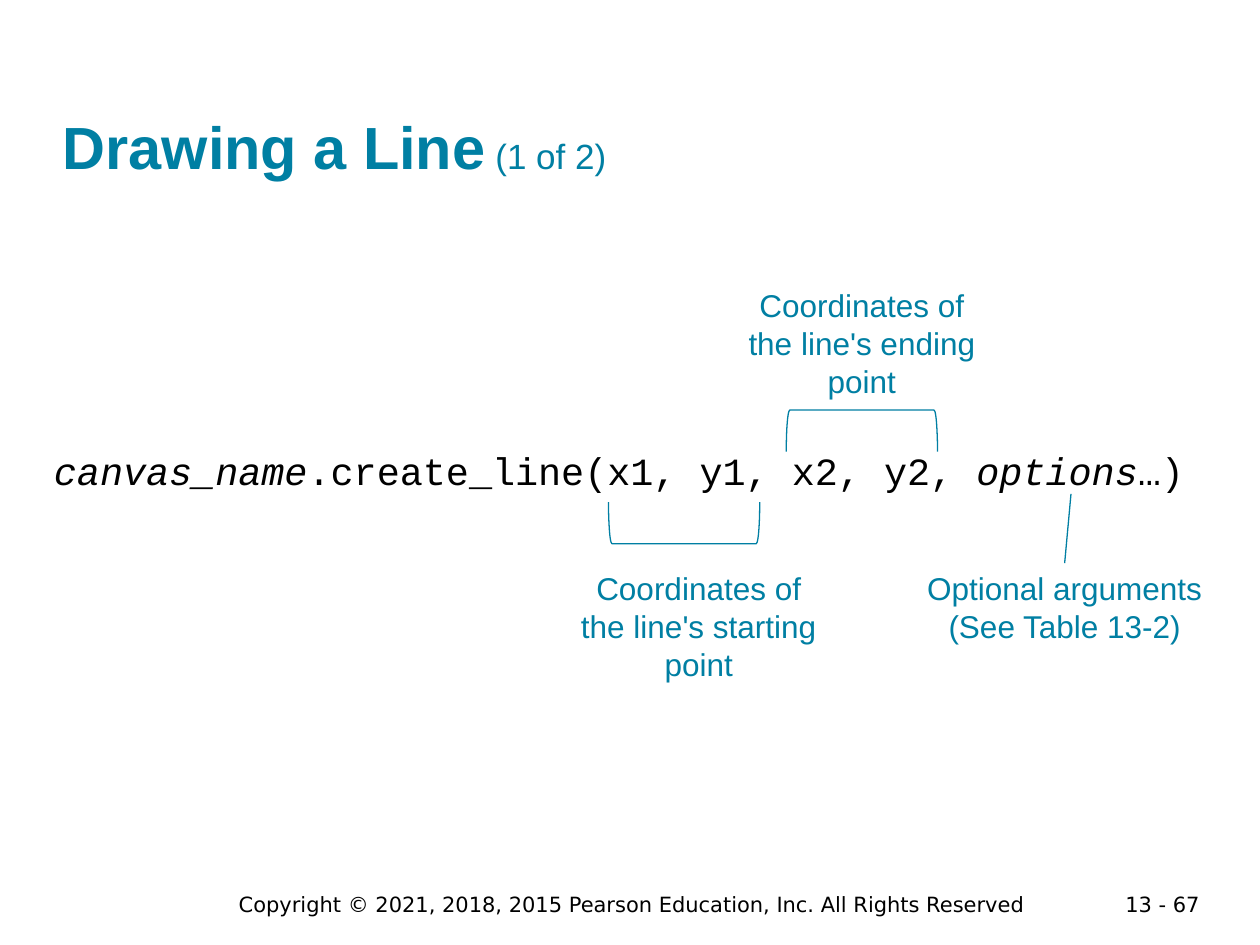
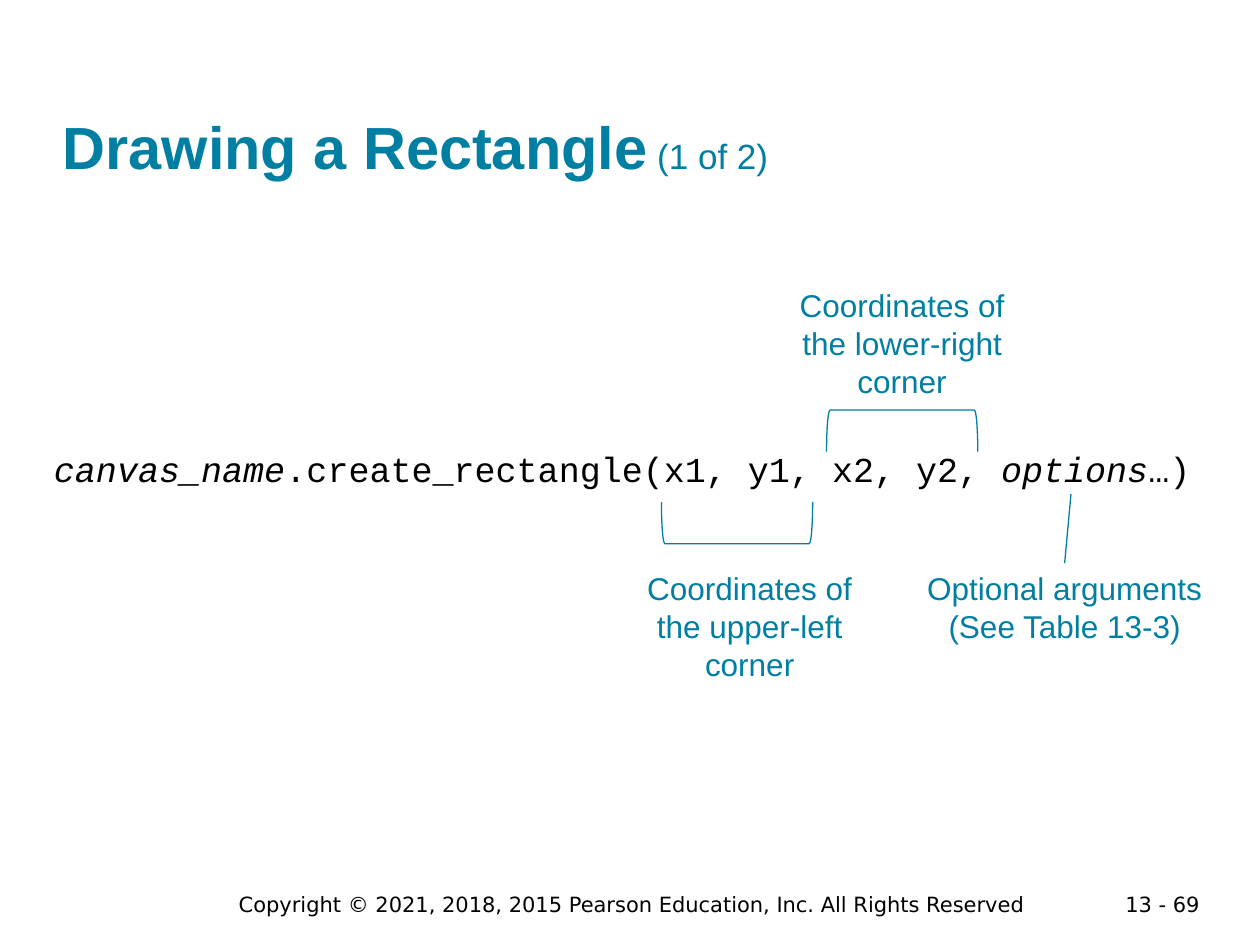
from lxml import etree
from pptx import Presentation
from pptx.dml.color import RGBColor
from pptx.enum.shapes import MSO_CONNECTOR, MSO_SHAPE
from pptx.enum.text import MSO_ANCHOR, PP_ALIGN
from pptx.oxml.ns import qn
from pptx.util import Inches, Pt

TEAL = RGBColor(0x00, 0x7F, 0xA3)
BLACK = RGBColor(0x00, 0x00, 0x00)
LEFT, CENTER, RIGHT = PP_ALIGN.LEFT, PP_ALIGN.CENTER, PP_ALIGN.RIGHT
BOTTOM = MSO_ANCHOR.BOTTOM
LEFT_BRACKET = MSO_SHAPE.LEFT_BRACKET
STRAIGHT = MSO_CONNECTOR.STRAIGHT

HEADING_FONT, CODE_FONT, FOOTER_FONT = "Arial", "Courier New", "DejaVu Sans"
COPYRIGHT = "Copyright © 2021, 2018, 2015 Pearson Education, Inc. All Rights Reserved"
BRACKET_DEPTH, BRACKET_SPAN = 0.33, 1.2
ABOVE_CODE, BELOW_CODE = 2.22, 4.47

SYNTAX_SLIDES = [
    {
        "title": "Drawing a Line", "page": "13 - 67",
        "method": "create_line", "code_size": 22, "code_height": 0.47,
        "start": (4.5, 2.09, ["Coordinates of", "the line's starting", "point"]),
        "start_bracket": 5.43,
        "end": (5.83, 2.02, ["Coordinates of", "the line's ending", "point"]),
        "end_bracket": 6.84,
        "table": "13-2",
    },
    {
        "title": "Drawing a Rectangle", "page": "13 - 69",
        "method": "create_rectangle", "code_size": 20, "code_height": 0.44,
        "start": (5.03, 1.84, ["Coordinates of", "the upper-left", "corner"]),
        "start_bracket": 5.85,
        "end": (6.24, 1.84, ["Coordinates of", "the lower-right", "corner"]),
        "end_bracket": 7.16,
        "table": "13-3",
    },
]


class SyntaxDeck:
    """Hold the deck style and the current slide, and draw its elements."""

    def __init__(self):
        self.presentation = Presentation()
        self.presentation.slide_width = Inches(10)
        self.presentation.slide_height = Inches(7.5)
        self.slide = None

    def add_slide(self, page):
        layout = self.presentation.slide_layouts[6]
        self.slide = self.presentation.slides.add_slide(layout)
        self.add_text((8.62, 7.03, 1, 0.22), [[(page, {})]], FOOTER_FONT, 12, BLACK, RIGHT)
        self.add_text((1.64, 7.03, 6.75, 0.3), [[(COPYRIGHT, {})]], FOOTER_FONT, 12, BLACK, CENTER)

    def add_text(self, box, lines, font_name, size, color, alignment=LEFT, wrap=True):
        shape = self.slide.shapes.add_textbox(*map(Inches, box))
        frame = shape.text_frame
        frame.word_wrap = wrap
        for index, line in enumerate(lines):
            paragraph = frame.add_paragraph() if index else frame.paragraphs[0]
            paragraph.alignment = alignment
            for text, changes in line:
                run = paragraph.add_run()
                run.text = text
                run.font.name = font_name
                run.font.size = Pt(size)
                run.font.color.rgb = color
                for attribute, value in changes.items():
                    setattr(run.font, attribute, value)
        return frame

    def add_title(self, title):
        line = [(title, {"bold": True}), (" (1 of 2)", {"size": Pt(20)})]
        frame = self.add_text((0.5, 0.24, 9, 1.2), [line], HEADING_FONT, 34, TEAL)
        frame.vertical_anchor = BOTTOM
        frame.margin_left = frame.margin_right = 0
        frame.margin_top = frame.margin_bottom = 0

    def add_code(self, method, size, height):
        line = [
            ("canvas_name", {"italic": True}),
            (f".{method}(x1, y1, x2, y2, ", {}),
            ("options", {"italic": True}),
            ("…)", {}),
        ]
        self.add_text((0.33, 3.5, 9.42, height), [line], CODE_FONT, size, BLACK)

    def add_label(self, left, top, width, lines):
        height = 0.1 + 0.303 * len(lines)
        runs = [[(line, {})] for line in lines]
        self.add_text((left, top, width, height), runs, HEADING_FONT, 18, TEAL, CENTER, wrap=False)

    def add_bracket(self, center_x, center_y, rotation):
        shape = self.slide.shapes.add_shape(
            LEFT_BRACKET,
            Inches(center_x - BRACKET_DEPTH / 2), Inches(center_y - BRACKET_SPAN / 2),
            Inches(BRACKET_DEPTH), Inches(BRACKET_SPAN),
        )
        shape.rotation = rotation
        shape.shadow.inherit = False
        shape.fill.background()
        self.style_line(shape)

    def add_pointer(self, start, end):
        connector = self.slide.shapes.add_connector(STRAIGHT, *map(Inches, start + end))
        self.style_line(connector)
        etree.SubElement(connector._element.spPr, qn("a:effectLst"))

    def style_line(self, shape):
        shape.line.color.rgb = TEAL
        shape.line.width = Pt(0.75)

    def add_syntax_slide(self, content):
        self.add_slide(content["page"])
        self.add_title(content["title"])
        self.add_code(content["method"], content["code_size"], content["code_height"])
        for part, top, bracket_y, rotation in (
            ("start", BELOW_CODE, 4.15, 270),
            ("end", ABOVE_CODE, 3.42, 90),
        ):
            left, width, lines = content[part]
            self.add_bracket(content[f"{part}_bracket"], bracket_y, rotation)
            self.add_label(left, top, width, lines)
        options_note = ["Optional arguments", f"(See Table {content['table']})"]
        self.add_label(7.25, BELOW_CODE, 2.4, options_note)
        self.add_pointer((8.45, BELOW_CODE), (8.5, 3.92))


def main():
    deck = SyntaxDeck()
    for content in SYNTAX_SLIDES:
        deck.add_syntax_slide(content)
    deck.presentation.save("out.pptx")


if __name__ == "__main__":
    main()
